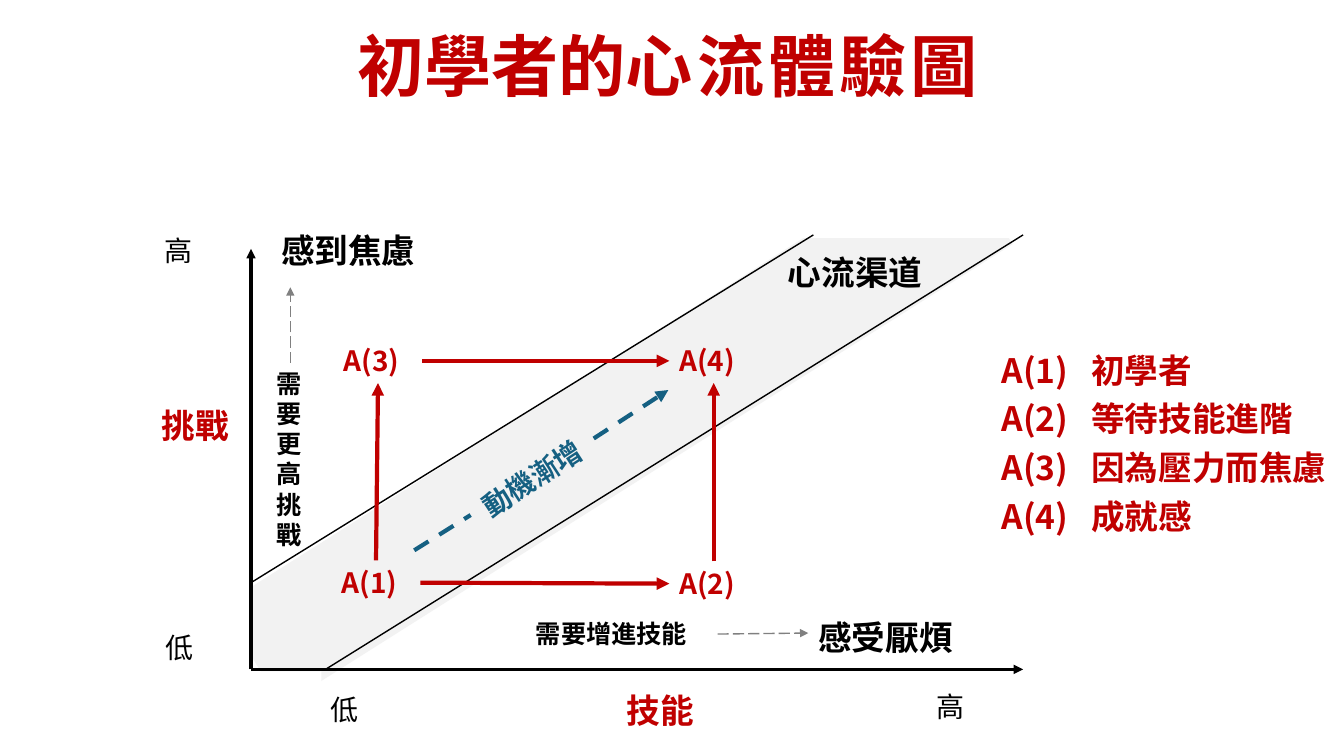
from pptx import Presentation
from pptx.dml.color import RGBColor
from pptx.enum.dml import MSO_LINE as Dash
from pptx.enum.shapes import MSO_CONNECTOR as Conn, MSO_SHAPE as Shape
from pptx.enum.text import MSO_ANCHOR as Anchor, PP_ALIGN as Align
from pptx.oxml.ns import qn
from pptx.util import Pt
from lxml.etree import SubElement as Sub

FONT = "Noto Sans CJK SC"
RED, BLACK, BLUE, GREY = "C00000", "000000", "156082", "808080"

deck = Presentation()
deck.slide_width, deck.slide_height = Pt(960), Pt(540)
slide = deck.slides.add_slide(deck.slide_layouts[6])
shapes = slide.shapes


def color(code):
    return RGBColor.from_string(code)


def text(words, x, y, w, h, size=24, ink=BLACK, bold=True, align=Align.LEFT,
         anchor=Anchor.TOP, turn=0, before=0, lead=None, tab=None):
    """Add a text box; words is a list of paragraphs, each a list of (text, spacing)."""
    if isinstance(words, str):
        words = [[(words, 0)]]
    box = shapes.add_textbox(Pt(x), Pt(y), Pt(w), Pt(h))
    box.rotation = turn
    frame = box.text_frame
    frame.word_wrap, frame.vertical_anchor = True, anchor
    for i, parts in enumerate(words):
        para = frame.add_paragraph() if i else frame.paragraphs[0]
        para.alignment, para.space_before = align, Pt(before)
        if lead:
            para.line_spacing = lead
        if tab:
            stops = Sub(para._p.get_or_add_pPr(), qn("a:tabLst"))
            Sub(stops, qn("a:tab"), pos=str(Pt(tab)), algn="l")
        for part, gap in parts:
            run = para.add_run()
            run.text = part
            font = run.font
            font.size, font.bold, font.name = Pt(size), bold, FONT
            font.color.rgb = color(ink)
            props = run._r.get_or_add_rPr()
            Sub(props, qn("a:ea"), typeface=FONT)
            if gap:
                props.set("spc", str(gap * 100))


def line(x1, y1, x2, y2, ink=BLACK, width=1, dash=None, arrow=True):
    link = shapes.add_connector(Conn.STRAIGHT, Pt(x1), Pt(y1), Pt(x2), Pt(y2))
    link.line.width = Pt(width)
    link.line.color.rgb = color(ink)
    if dash:
        link.line.dash_style = dash
    if arrow:
        Sub(link.line._get_or_add_ln(), qn("a:tailEnd"), type="triangle")
    Sub(link._element.spPr, qn("a:effectLst"))


# Flow band, with white blocks that trim its ends
for x, y, w, h, turn, fill in [
    (131.8, 262.1, 617, 83.5, 327.7, "F2F2F2"),
    (150.5, 406.1, 27.4, 80.6, 0, "FFFFFF"),
    (164.9, 479.5, 64.8, 26.6, 0, "FFFFFF"),
    (529.2, 103, 273.6, 67, 0, "FFFFFF"),
]:
    block = shapes.add_shape(Shape.RECTANGLE, Pt(x), Pt(y), Pt(w), Pt(h))
    block.rotation = turn
    block.shadow.inherit = False
    block.fill.solid()
    block.fill.fore_color.rgb = color(fill)
    block.line.fill.background()

text([[("初學者的", 0), ("心流體驗圖", 3)]], 74.5, 29.5, 805, 41, size=48,
     ink=RED, align=Align.CENTER, anchor=Anchor.MIDDLE, lead=0.9)

# Axes and band edges
left, base = 179.3, 478.1
line(left, base, left, 177.8, width=2.25)
line(left, base, 730.8, base, width=2.25)
line(left, 416.2, 581, 167.8, arrow=False)
line(232.6, base, 730.8, 167.8, arrow=False)

# Axis names and ends
text("技能", 433.4, 489.6, 76.3, 36, ink=RED, align=Align.CENTER)
text("挑戰", 105.8, 285.8, 67.7, 36, ink=RED, align=Align.CENTER)
for word, x, y in [("低", 110.9, 447.1), ("低", 229, 491),
                   ("高", 110.2, 163.4), ("高", 661.7, 488.9)]:
    text(word, x, y, 43.2, 31.7, size=20, bold=False)

# Zones
for word, x, y in [("感到焦慮", 193.7, 160.6), ("感受厭煩", 577.4, 437),
                   ("心流渠道", 555.8, 176.4)]:
    text(word, x, y, 125, 36)
text("需要增進技能", 375.8, 437.8, 136.8, 29.5, size=18)
text("需要更高挑戰", 190.8, 259.2, 33.1, 138.2, size=18)
line(207.4, 259.2, 207.4, 205.2, GREY, dash=Dash.LONG_DASH)
line(512.6, 452.9, 577.4, 452.2, GREY, dash=Dash.LONG_DASH)

# Stages and the moves between them
for n, x, y in [(1, 236.9, 400.3), (2, 478.1, 401),
                (3, 238.3, 241.9), (4, 478.1, 241.9)]:
    text(f"A({n})", x, y, 63.4, 31.7, size=20, ink=RED)
for ends in [(300.2, 416.2, 478.1, 416.9), (509.8, 401, 509.8, 273.6),
             (268.6, 400.3, 270, 273.6), (301.7, 257.8, 478.1, 257.8)]:
    line(*ends, ink=RED, width=3)

# Growing motivation
text("動機漸增", 331.9, 322.6, 106.6, 31.7, size=20, ink=BLUE, turn=326.8)
line(295.9, 393.1, 336.2, 367.9, BLUE, 3, Dash.DASH, arrow=False)
line(424.1, 313.2, 477.4, 278.6, BLUE, 3, Dash.DASH)

# Legend
stages = ["初學者", "等待技能進階", "因為壓力而焦慮", "成就感"]
text([[(f"A({n})\t{stage}", 0)] for n, stage in enumerate(stages, 1)],
     708.5, 246.2, 273.6, 141.8, ink=RED, before=6, tab=64)

deck.save("out.pptx")
